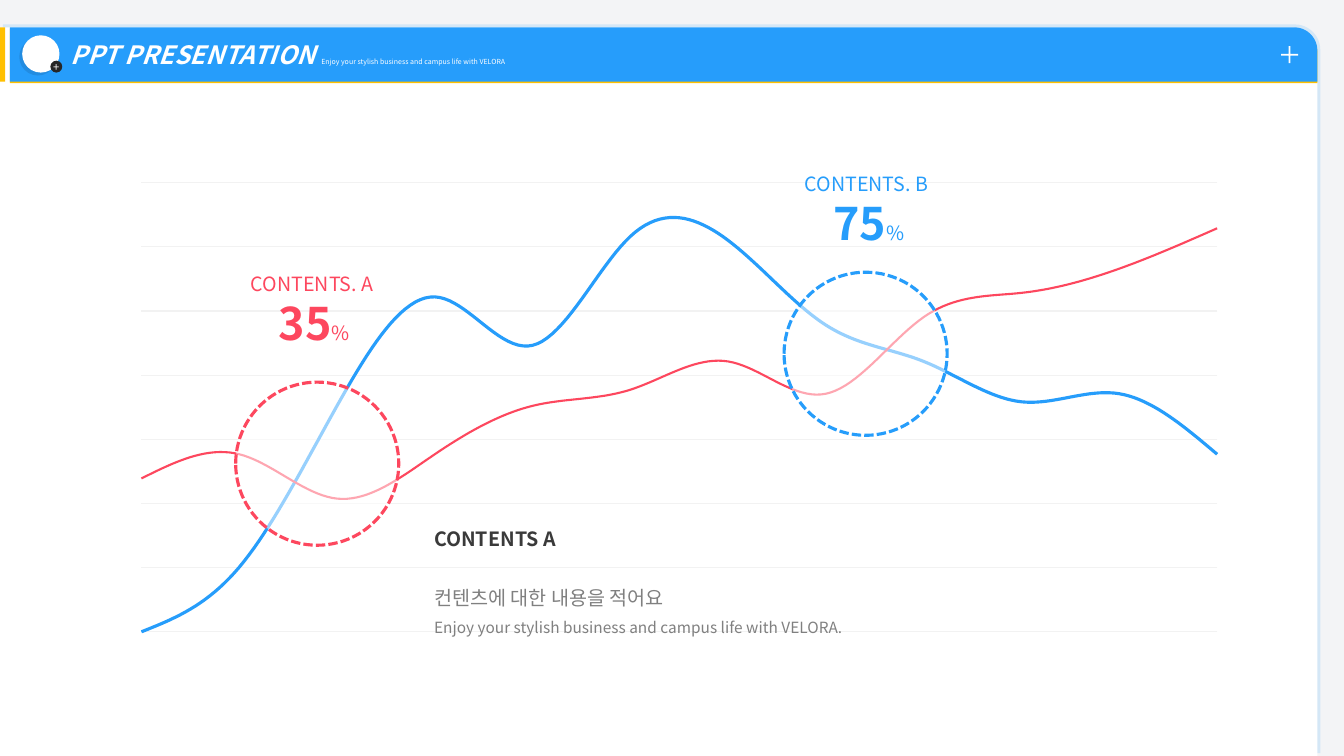
from dataclasses import dataclass

from lxml.etree import SubElement
from pptx import Presentation
from pptx.chart.data import CategoryChartData
from pptx.dml.color import RGBColor
from pptx.enum.chart import XL_CHART_TYPE
from pptx.enum.dml import MSO_LINE
from pptx.enum.shapes import MSO_SHAPE
from pptx.enum.text import MSO_ANCHOR, MSO_AUTO_SIZE, PP_ALIGN
from pptx.oxml import parse_xml
from pptx.oxml.ns import nsdecls, qn
from pptx.util import Cm, Pt


@dataclass(frozen=True)
class Theme:
    """Colours, type sizes and fonts of the slide."""
    blue: str = "269DFB"
    red: str = "FD475E"
    yellow: str = "FFC000"
    white: str = "FFFFFF"
    black: str = "000000"
    back: str = "F3F4F6"
    grid: str = "F2F2F2"
    badge: str = "262626"
    dark: str = "3A3A3A"
    grey: str = "808080"
    figure: int = 32
    title: int = 18
    body: int = 14
    small: int = 11
    axis: int = 10
    sign: int = 8
    tiny: int = 5
    font: str = "Noto Sans CJK KR"
    chart_font: str = "Arial"


T = Theme()


def rgb(code):
    """Turn a hex code into a colour."""
    return RGBColor.from_string(code)


def place(sp, x, y, w, h):
    """Move and size a shape in centimetres."""
    sp.left, sp.top, sp.width, sp.height = Cm(x), Cm(y), Cm(w), Cm(h)


def add_run(p, text, size=T.body, color=T.white, bold=False, italic=False):
    """Append a formatted run to a paragraph."""
    r = p.add_run()
    r.text = text
    f = r.font
    f.name, f.size, f.bold, f.italic = T.font, Pt(size), bold, italic
    f.color.rgb = rgb(color)
    SubElement(r._r.get_or_add_rPr(), qn("a:ea")).set("typeface", T.font)


def add_shape(s, kind, x, y, w, h, fill, adj=None, alpha=None, line=None, shadow=None):
    """Add a preset shape; shadow is colour, opacity, distance and angle."""
    sp = s.shapes.add_shape(kind, Cm(x), Cm(y), Cm(w), Cm(h))
    sp.shadow.inherit = False
    sp.fill.solid()
    sp.fill.fore_color.rgb = rgb(fill)
    if adj:
        sp.adjustments[0] = adj
    if alpha:
        clr = sp._element.spPr.find(qn("a:solidFill"))[0]
        SubElement(clr, qn("a:alpha")).set("val", str(alpha * 1000))
    if line:
        sp.line.color.rgb = rgb(line)
        sp.line.width = Pt(2.25)
        sp.line.dash_style = MSO_LINE.SQUARE_DOT
    else:
        sp.line.fill.background()
    if shadow:
        color, opacity, dist, angle = shadow
        sp._element.spPr.find(qn("a:effectLst")).append(parse_xml(
            f'<a:outerShdw {nsdecls("a")} blurRad="0" dist="{Pt(dist)}" '
            f'dir="{angle * 60000}" algn="ctr" rotWithShape="0"><a:srgbClr val="{color}">'
            f'<a:alpha val="{opacity * 1000}"/></a:srgbClr></a:outerShdw>'))
    return sp


def add_text(s, x, y, w, h, paras, align=PP_ALIGN.LEFT):
    """Add a text box from pairs of line spacing and runs."""
    tf = s.shapes.add_textbox(Cm(x), Cm(y), Cm(w), Cm(h)).text_frame
    tf.word_wrap = True
    for i, (spacing, runs) in enumerate(paras):
        p = tf.add_paragraph() if i else tf.paragraphs[0]
        p.alignment, p.line_spacing = align, spacing
        for text, fmt in runs:
            add_run(p, text, **fmt)


def header(s, x, y, w, h):
    """Draw the title bar with its badge, side tab and plus sign."""
    bar = add_shape(s, MSO_SHAPE.ROUND_1_RECTANGLE, x + 0.25, y, w - 0.25, h, T.blue,
                    adj=0.425, shadow=(T.yellow, 100, 1, 90))
    title = s.shapes.title
    bar._element.addnext(title._element)
    place(title, x + 0.25, y, w - 2, h)
    tf = title.text_frame
    tf.auto_size = MSO_AUTO_SIZE.NONE
    tf.vertical_anchor = MSO_ANCHOR.MIDDLE
    tf.margin_left = Cm(1.52)
    p = tf.paragraphs[0]
    p.alignment = PP_ALIGN.LEFT
    add_run(p, "PPT PRESENTATION ", size=T.title, bold=True, italic=True)
    add_run(p, "Enjoy your stylish business and campus life with VELORA", size=T.tiny)
    add_shape(s, MSO_SHAPE.OVAL, x + 0.56, y + 0.2, 0.94, 0.94, T.white,
              shadow=(T.black, 10, 3, 135))
    badge = add_shape(s, MSO_SHAPE.OVAL, x + 1.27, y + 0.84, 0.3, 0.3, T.badge)
    tf = badge.text_frame
    tf.word_wrap = False
    tf.vertical_anchor = MSO_ANCHOR.MIDDLE
    tf.paragraphs[0].alignment = PP_ALIGN.CENTER
    add_run(tf.paragraphs[0], "+", size=T.sign)
    add_shape(s, MSO_SHAPE.RECTANGLE, x, y, 0.13, h, T.yellow)
    add_shape(s, MSO_SHAPE.MATH_PLUS, x + w - 0.99, y + 0.4, 0.58, 0.58, T.white, adj=0.076)


def trend_chart(s, x, y, w, h):
    """Draw the two smooth trend lines over light gridlines."""
    data = CategoryChartData()
    data.categories = [str(n) for n in range(1, 13)]
    data.add_series("Series 1", (0, 16, 56, 83, 71, 98, 97, 76, 67, 57, 59, 44))
    data.add_series("Series 2", (38, 44, 33, 44, 56, 60, 67, 59, 78, 84, 90, 100))
    chart = s.shapes.add_chart(XL_CHART_TYPE.LINE, Cm(x), Cm(y), Cm(w), Cm(h), data).chart
    chart.has_legend = chart.has_title = False
    chart.font.name, chart.font.size = T.chart_font, Pt(T.axis)
    chart.font.color.rgb = rgb(T.black)
    val = chart.value_axis
    val.minimum_scale, val.maximum_scale, val.major_unit = 0, 111.3, 15.9
    val.has_major_gridlines = True
    val.major_gridlines.format.line.color.rgb = rgb(T.grid)
    val.major_gridlines.format.line.width = Pt(0.75)
    val.visible = chart.category_axis.visible = False
    val._element.find(qn("c:majorUnit")).addprevious(
        parse_xml(f'<c:crossBetween {nsdecls("c")} val="midCat"/>'))
    for ser, color, width in zip(chart.plots[0].series, (T.blue, T.red), (2.25, 1.5)):
        ser.smooth = True
        ser.format.line.color.rgb = rgb(color)
        ser.format.line.width = Pt(width)
    area = chart._chartSpace.chart.plotArea
    for old in area.findall(qn("c:layout")):
        area.remove(old)
    area.insert(0, parse_xml(
        f'<c:layout {nsdecls("c")}><c:manualLayout><c:layoutTarget val="inner"/>'
        '<c:xMode val="edge"/><c:yMode val="edge"/><c:x val="0.02"/><c:y val="0.02"/>'
        '<c:w val="0.96"/><c:h val="0.96"/></c:manualLayout></c:layout>'))


def callout(s, x, y, label, figure, color, dx, dy):
    """Draw a dashed circle and its figure, offset from the circle's corner."""
    add_shape(s, MSO_SHAPE.OVAL, x, y, 4.11, 4.11, T.white, alpha=52, line=color)
    add_text(s, x + dx, y + dy, 4.27, 2.49, [
        (1.5, [(label, dict(color=color))]),
        (1, [(figure, dict(size=T.figure, color=color, bold=True)),
             ("%", dict(color=color))]),
    ], align=PP_ALIGN.CENTER)


def caption(s, x, y, w, h):
    """Write the heading and description below the lines."""
    add_text(s, x, y, w, h, [
        (1.5, [("CONTENTS A", dict(color=T.dark, bold=True))]),
        (2.5, [("컨텐츠에 대한 내용을 적어요", dict(color=T.grey))]),
        (1.5, [("Enjoy your stylish business and campus life with VELORA.",
                dict(size=T.small, color=T.grey))]),
    ])


def trend_slide(prs):
    """Build the trend slide."""
    s = prs.slides.add_slide(prs.slide_layouts[5])
    s.background.fill.solid()
    s.background.fill.fore_color.rgb = rgb(T.back)
    add_shape(s, MSO_SHAPE.ROUND_1_RECTANGLE, 0, 0.69, 33.2, 18.36, T.white,
              adj=0.035, shadow=(T.blue, 14, 3, 315))
    header(s, 0, 0.69, 33.2, 1.37)
    x, y, w, h = 3, 4.37, 28.24, 11.79
    trend_chart(s, x, y, w, h)
    callout(s, x + 2.94, y + 5.26, "CONTENTS. A ", "35", T.red, -0.15, -3.2)
    callout(s, x + 16.76, y + 2.49, "CONTENTS. B ", "75", T.blue, 0, -2.95)
    caption(s, x + 7.69, y + 8.48, 11.13, 3.33)


def main():
    """Create and save the presentation."""
    prs = Presentation()
    prs.slide_width, prs.slide_height = Cm(33.87), Cm(19.05)
    trend_slide(prs)
    prs.save("out.pptx")


if __name__ == "__main__":
    main()
